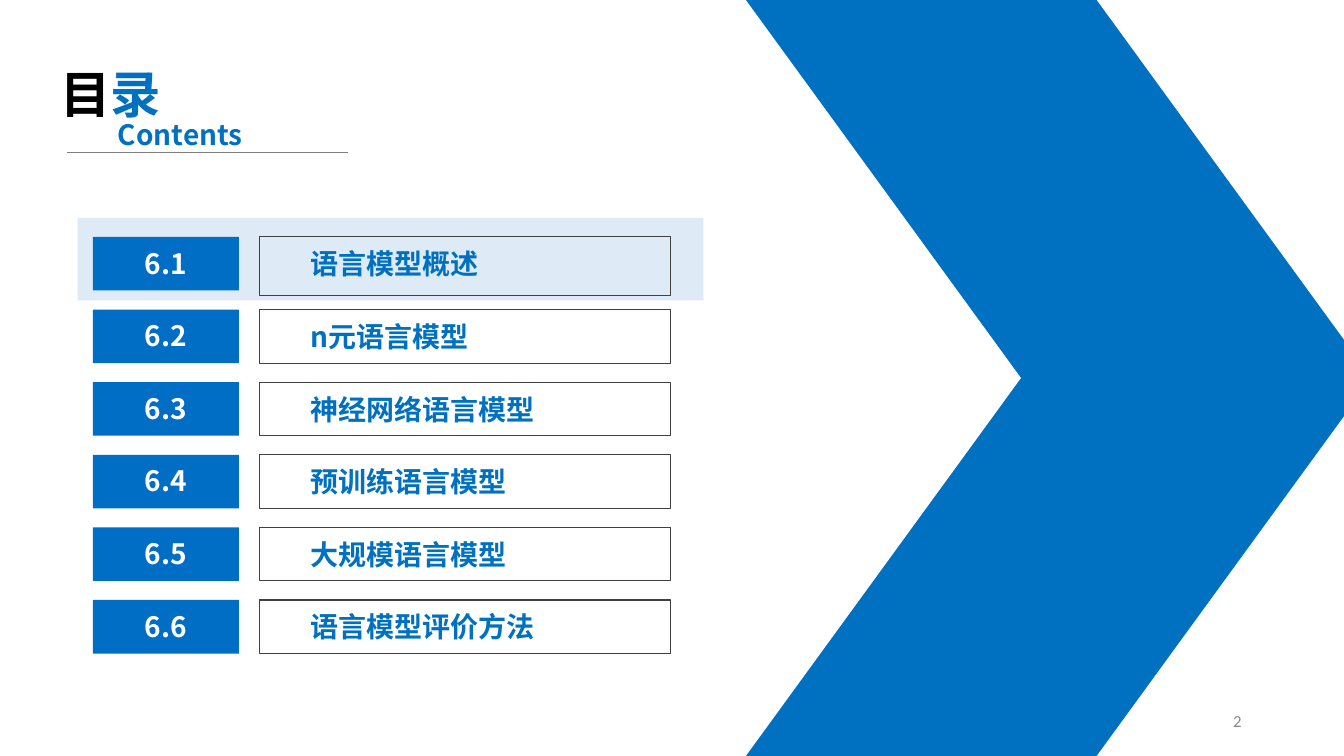
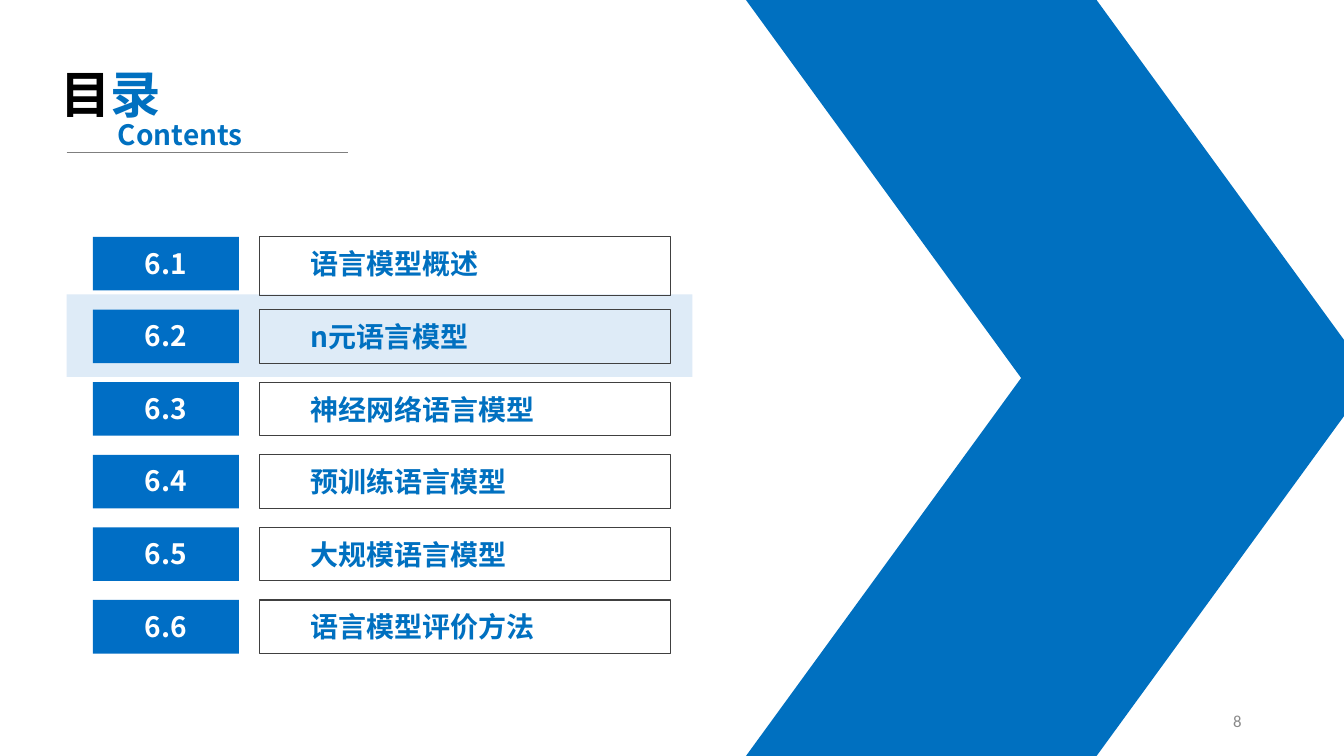
from pptx import Presentation
from pptx.dml.color import RGBColor
from pptx.enum.shapes import MSO_CONNECTOR, MSO_SHAPE
from pptx.enum.text import MSO_ANCHOR, PP_ALIGN
from pptx.oxml.ns import qn
from pptx.util import Cm, Pt

SLIDE_W, SLIDE_H = 33.87, 19.05
BLUE, BADGE_BLUE, PALE_BLUE = "0070C0", "006EC5", "DEEBF7"
WHITE, BLACK, FRAME_GRAY, RULE_GRAY, NUMBER_GRAY = "FFFFFF", "000000", "404040", "7F7F7F", "898989"
CJK, LATIN = "Noto Sans CJK SC", "Calibri"

SECTIONS = ["语言模型概述", "n元语言模型", "神经网络语言模型",
            "预训练语言模型", "大规模语言模型", "语言模型评价方法"]
ROW_TOP, ROW_STEP, ROW_H = 5.97, 1.83, 1.35
FIRST_FRAME_H = 1.47

# page number, left and top of the band behind the current section
PAGES = [("2", 1.96, 5.49), ("8", 1.68, 7.42)]


def rgb(value):
    return RGBColor.from_string(value)


def style_run(r, size, color, font=CJK, bold=True):
    r.font.name, r.font.size, r.font.bold = font, Pt(size), bold
    r.font.color.rgb = rgb(color)
    if font == CJK:
        ea = r.font._element.makeelement(qn("a:ea"), {"typeface": font})
        r.font._element.find(qn("a:latin")).addnext(ea)


def add_box(s, x, y, w, h, fill=None, line=None, kind=MSO_SHAPE.RECTANGLE):
    sp = s.shapes.add_shape(kind, Cm(x), Cm(y), Cm(w), Cm(h))
    sp.shadow.inherit = False
    if fill:
        sp.fill.solid()
        sp.fill.fore_color.rgb = rgb(fill)
    else:
        sp.fill.background()
    if line:
        sp.line.color.rgb = rgb(line)
        sp.line.width = Pt(0.75)
    else:
        sp.line.fill.background()
    return sp


def label_box(sp, text, color, align, left, top):
    """Write one bold line into a box, placed by its left and top insets."""
    tf = sp.text_frame
    tf.text = text
    tf.vertical_anchor = MSO_ANCHOR.TOP
    tf.margin_left, tf.margin_top = Cm(left), Cm(top)
    tf.margin_bottom = 0
    p = tf.paragraphs[0]
    p.alignment = align
    style_run(p.runs[0], 20, color)


def add_text(s, x, y, w, h, parts, size, font=CJK, bold=True):
    """Add a text box whose parts are (text, colour) pairs on one line."""
    tf = s.shapes.add_textbox(Cm(x), Cm(y), Cm(w), Cm(h)).text_frame
    tf.word_wrap = True
    p = tf.paragraphs[0]
    for text, color in parts:
        r = p.add_run()
        r.text = text
        style_run(r, size, color, font, bold)
    return tf


def add_chevron(s):
    half = SLIDE_H / 2
    for top in (half, 0):
        sp = add_box(s, 18.8, top, 15.77, half, BLUE, kind=MSO_SHAPE.PARALLELOGRAM)
        sp.adjustments[0] = 0.728
        if top == 0:
            sp._element.spPr.find(qn("a:xfrm")).set("flipV", "1")


def add_title(s):
    add_text(s, 1.27, 1.47, 3.99, 1.8, [("目", BLACK), ("录", BLUE)], 36)
    add_text(s, 2.72, 2.84, 3.99, 1.12, [("Contents", BLUE)], 20)
    rule = s.shapes.add_connector(MSO_CONNECTOR.STRAIGHT, Cm(1.68), Cm(3.84), Cm(8.76), Cm(3.84))
    rule.line.color.rgb = rgb(RULE_GRAY)
    rule.line.width = Pt(0.5)
    spPr = rule._element.spPr
    spPr.append(spPr.makeelement(qn("a:effectLst"), {}))


def add_sections(s):
    for i, name in enumerate(SECTIONS):
        y = ROW_TOP + i * ROW_STEP
        frame = add_box(s, 6.55, y, 10.36, ROW_H if i else FIRST_FRAME_H, line=FRAME_GRAY)
        label_box(frame, name, BLUE, PP_ALIGN.LEFT, 1.27, 0.25)
        badge = add_box(s, 2.34, y, 3.68, ROW_H, BADGE_BLUE)
        label_box(badge, f"6.{i + 1}", WHITE, PP_ALIGN.CENTER, 0.25, 0.23)


def add_page_number(s, number):
    tf = add_text(s, 23.92, 17.65, 7.62, 1.02, [(number, NUMBER_GRAY)], 12, LATIN, False)
    tf.vertical_anchor = MSO_ANCHOR.MIDDLE
    tf.paragraphs[0].alignment = PP_ALIGN.RIGHT


def add_contents_slide(prs, number, band_left, band_top):
    s = prs.slides.add_slide(prs.slide_layouts[6])
    add_box(s, band_left, band_top, 15.77, 2.08, PALE_BLUE)
    add_chevron(s)
    add_title(s)
    add_sections(s)
    add_page_number(s, number)


def main():
    prs = Presentation()
    prs.slide_width, prs.slide_height = Cm(SLIDE_W), Cm(SLIDE_H)
    for page in PAGES:
        add_contents_slide(prs, *page)
    prs.save("out.pptx")


if __name__ == "__main__":
    main()
